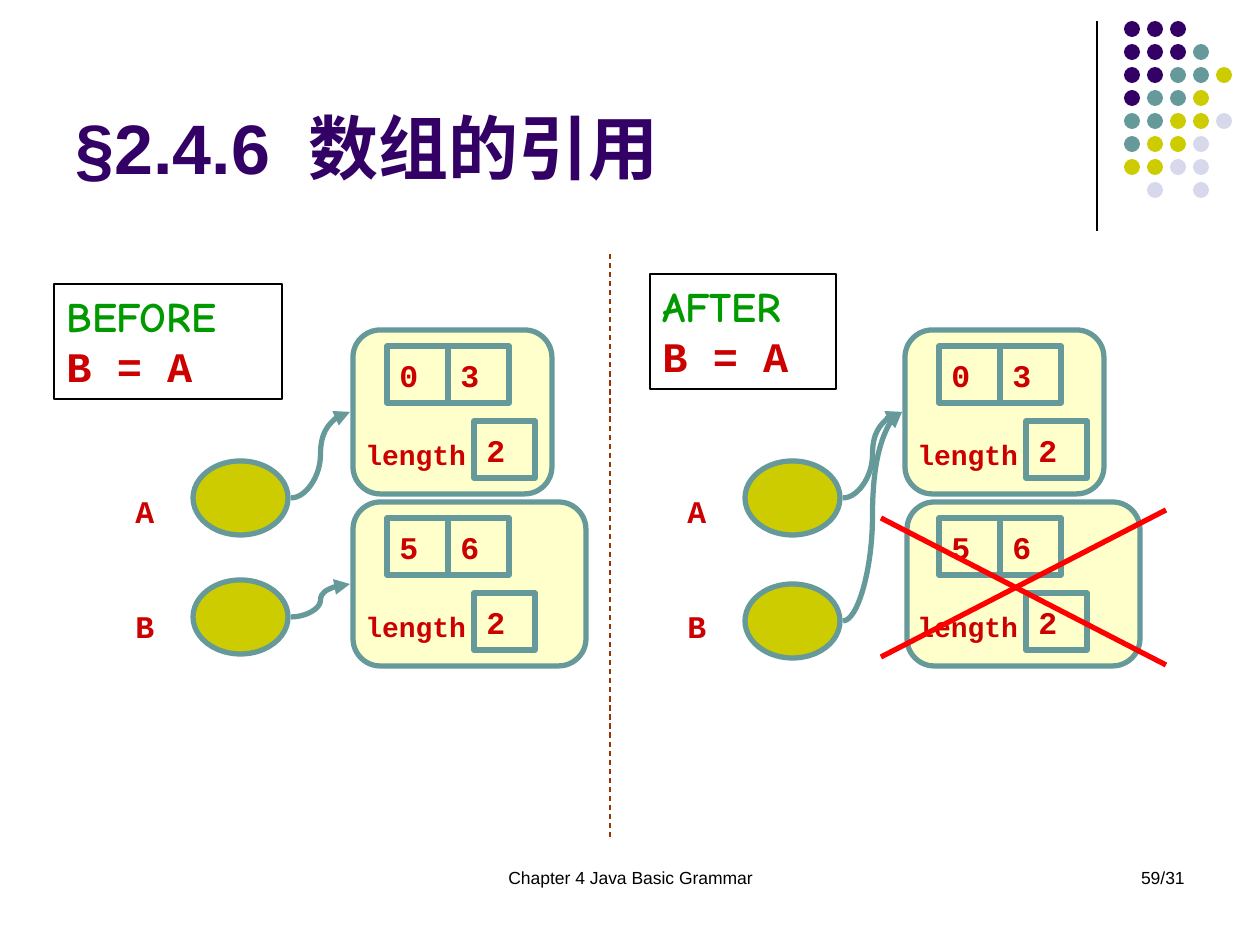
from lxml import etree
from pptx import Presentation
from pptx import util as u
from pptx.dml.color import RGBColor
from pptx.enum import dml, shapes, text
from pptx.oxml.ns import qn

PX_PER_INCH = 126
PURPLE, TEAL, OLIVE, LILAC = "330066", "669999", "CCCC00", "D8D8EC"
CREAM, RED, GREEN, BLACK = "FFFFCC", "CC0000", "009900", "000000"
CODE = {"name": "Courier New", "size": u.Pt(18), "bold": True, "color": RED}
DOT_ROWS = ("PPP", "PPPT", "PPTTO", "PTTO", "TTOOL", "TOOL", "OOLL", " L L")
DOT_COLORS = {"P": PURPLE, "T": TEAL, "O": OLIVE, "L": LILAC}


def px(*lengths):
    return [u.Emu(round(length * 914400 / PX_PER_INCH)) for length in lengths]


def rgb(value):
    return RGBColor.from_string(value)


def set_font(font, color, **values):
    for name, value in values.items():
        setattr(font, name, value)
    font.color.rgb = rgb(color)


def write(shape, lines, anchor=text.MSO_ANCHOR.TOP, align=text.PP_ALIGN.LEFT, wrap=False):
    """Write (string, font values) pairs as the paragraphs of a shape."""
    frame = shape.text_frame
    frame.word_wrap = wrap
    frame.vertical_anchor = anchor
    for index, (string, values) in enumerate(lines):
        paragraph = frame.add_paragraph() if index else frame.paragraphs[0]
        paragraph.alignment = align
        run = paragraph.add_run()
        run.text = string
        set_font(run.font, **values)


def add_box(slide, kind, box, fill=None, line=None, width=3):
    shape = slide.shapes.add_shape(kind, *px(*box))
    shape.shadow.inherit = False
    if fill:
        shape.fill.solid()
        shape.fill.fore_color.rgb = rgb(fill)
    else:
        shape.fill.background()
    if line:
        shape.line.color.rgb = rgb(line)
        shape.line.width = u.Pt(width)
    else:
        shape.line.fill.background()
    return shape


def add_label(slide, box, string, values, **options):
    write(slide.shapes.add_textbox(*px(*box)), [(string, values)], **options)


def add_line(slide, ends, color, width, kind=shapes.MSO_CONNECTOR.STRAIGHT, dash=None, arrow=False):
    connector = slide.shapes.add_connector(kind, *px(*ends))
    connector.line.color.rgb = rgb(color)
    connector.line.width = u.Pt(width)
    if dash:
        connector.line.dash_style = dash
    properties = connector._element.spPr
    if arrow:
        etree.SubElement(properties.find(qn("a:ln")), qn("a:tailEnd"), type="triangle")
    etree.SubElement(properties, qn("a:effectLst"))


def add_dots(slide, left, top):
    pitch, size = 23, 16
    for row, codes in enumerate(DOT_ROWS):
        for column, code in enumerate(codes):
            if code in DOT_COLORS:
                box = (left + column * pitch, top + row * pitch, size, size)
                add_box(slide, shapes.MSO_SHAPE.OVAL, box, DOT_COLORS[code])


def add_title(slide, box):
    title = slide.shapes.title
    title.left, title.top, title.width, title.height = px(*box)
    frame = title.text_frame
    frame.auto_size = text.MSO_AUTO_SIZE.NONE
    frame.vertical_anchor = text.MSO_ANCHOR.BOTTOM
    paragraph = frame.paragraphs[0]
    paragraph.alignment = text.PP_ALIGN.LEFT
    for string, name in (("§2.4.6  ", "Arial"), ("数组的引用", "Noto Sans CJK SC")):
        run = paragraph.add_run()
        run.text = string
        set_font(run.font, PURPLE, name=name, size=u.Pt(40), bold=True)
        latin = run.font._element.find(qn("a:latin"))
        latin.addnext(etree.Element(qn("a:ea"), typeface="Noto Sans CJK SC"))


def add_caption(slide, box, heading):
    shape = add_box(slide, shapes.MSO_SHAPE.RECTANGLE, box, line=BLACK, width=1)
    size = u.Pt(24)
    write(shape, [(heading, {**CODE, "name": "Comic Neue", "size": size, "color": GREEN}),
                  ("B = A", {**CODE, "size": size})], wrap=True)


def add_array(slide, left, top, width, values, shift=0):
    """Draw an array object; shift moves only its outline sideways."""
    add_box(slide, shapes.MSO_SHAPE.ROUNDED_RECTANGLE, (left + shift, top, width, 164), CREAM, TEAL)
    add_label(slide, (left, top + 101, 126, 47), "length", {**CODE, "size": u.Pt(16)})
    cells = [(34, 16, values[0]), (95, 16, values[1]), (121, 91, str(len(values)))]
    for x, y, value in cells:
        cell = add_box(slide, shapes.MSO_SHAPE.RECTANGLE, (left + x, top + y, 61, 57), line=TEAL)
        write(cell, [(value, CODE)], anchor=text.MSO_ANCHOR.MIDDLE)


def add_reference(slide, left, top, name, name_y, oval_y, target_y):
    add_label(slide, (left, top + name_y, 44, 50), name, CODE)
    add_box(slide, shapes.MSO_SHAPE.OVAL, (left + 70, top + oval_y, 95, 74), OLIVE, TEAL)
    ends = (left + 168, top + oval_y + 37, left + 227, top + target_y)
    add_line(slide, ends, TEAL, 3, shapes.MSO_CONNECTOR.CURVE, arrow=True)


def add_memory(slide, left, top, b_oval_y, b_target_y, b_shift=0):
    """Draw the two arrays and the references A and B."""
    add_array(slide, left + 230, top + 172, 233, "56", b_shift)
    add_array(slide, left + 230, top, 199, "03")
    add_reference(slide, left, top, "A", 156, 131, 82)
    add_reference(slide, left, top, "B", 271, b_oval_y, b_target_y)


def add_cross(slide, left, top, width, height, rise):
    for start, end in ((rise, height), (height - rise, 0)):
        add_line(slide, (left, top + start, left + width, top + end), "FF0000", 3)


def add_footer(slide, top):
    values = {"name": "Arial", "size": u.Pt(10), "color": BLACK}
    add_label(slide, (431, top, 399, 63), "Chapter 4 Java Basic Grammar", values,
              align=text.PP_ALIGN.CENTER, wrap=True)
    add_label(slide, (903, top, 294, 63), "59/31", values, align=text.PP_ALIGN.RIGHT, wrap=True)


def main():
    presentation = Presentation()
    presentation.slide_width, presentation.slide_height = px(1260, 945)
    slide = presentation.slides.add_slide(presentation.slide_layouts[5])
    add_line(slide, (1097, 21, 1097, 231), BLACK, 0.75)
    add_dots(slide, 1124, 21)
    add_footer(slide, 861)
    add_title(slide, (63, 16, 1040, 179))
    add_memory(slide, 123, 330, b_oval_y=250, b_target_y=254)
    add_memory(slide, 675, 330, b_oval_y=254, b_target_y=82, b_shift=2)
    add_caption(slide, (54, 284, 228, 115), "BEFORE")
    add_caption(slide, (650, 274, 186, 115), "AFTER")
    add_cross(slide, 881, 510, 285, 155, rise=8)
    add_line(slide, (610, 254, 610, 838), "993300", 0.75, dash=dml.MSO_LINE.DASH)
    presentation.save("out.pptx")


if __name__ == "__main__":
    main()
